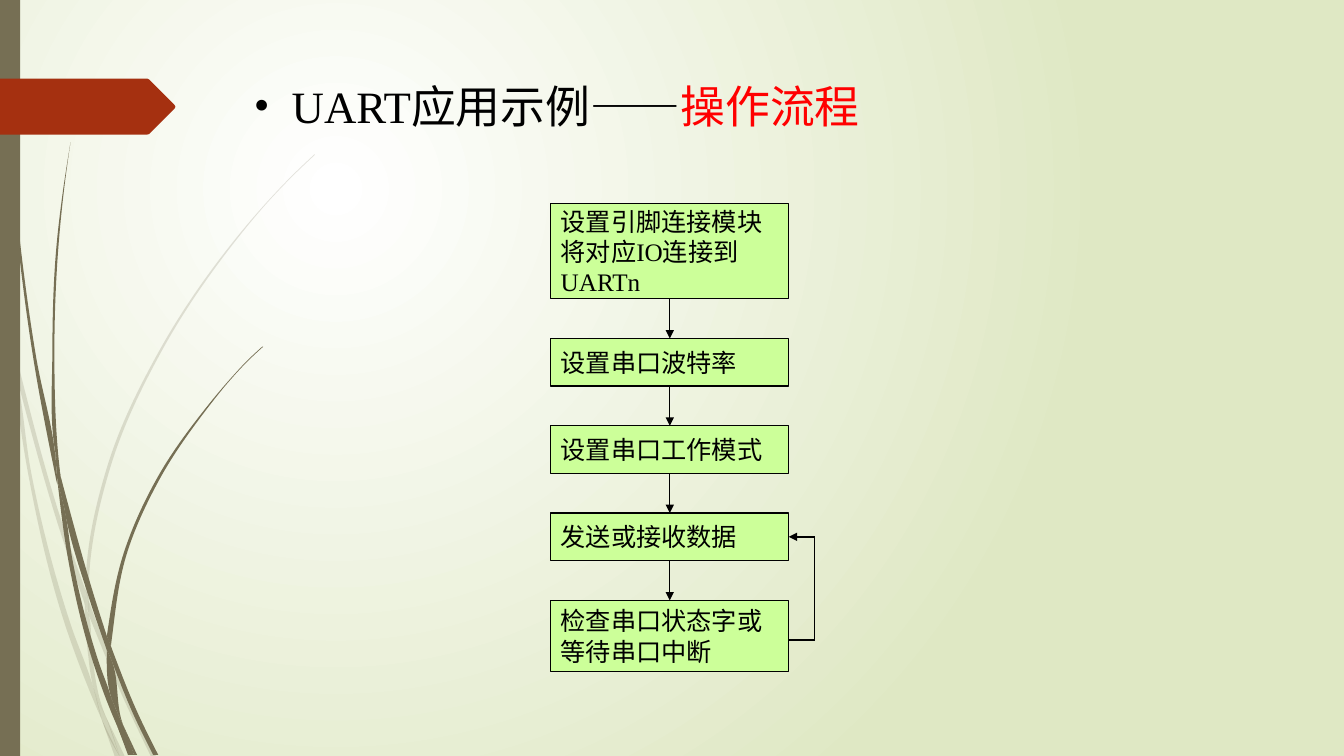
from dataclasses import dataclass
from itertools import pairwise
from math import dist

from pptx import Presentation, util as u
from pptx.dml.color import RGBColor
from pptx.enum import shapes, text
from pptx.oxml.ns import qn
from lxml import etree

# The slide is a fine grid; every length below counts its columns and rows
COLS, ROWS = 1333, 750
CELL = u.Inches(0.01)
Point = tuple[float, float]


@dataclass(frozen=True)
class Theme:
    font: str = "Times New Roman"
    ink: str = "000000"
    accent: str = "FF0000"
    box: str = "CCFF99"
    stem: str = "766F54"
    tab: str = "A53010"
    glow: str = "FFFFFF"
    edge: str = "DFE8C4"
    title_pt: int = 32
    box_pt: int = 18
    line_pt: int = 1
    faded: int = 20


@dataclass(frozen=True)
class Wisp:
    """A sliver of grass between a downward and an upward edge."""
    down: list[Point]
    up: list[Point]


@dataclass(frozen=True)
class Step:
    units: int
    lines: list[str]


THEME = Theme()

FADED_WISPS = [
    Wisp([(0, 282), (9, 322), (11, 350)], [(10, 344), (0, 299)]),
    Wisp([(14, 345), (62, 520), (85, 586)], [(84, 599), (58, 522), (17, 376)]),
    Wisp([(88, 596), (92, 607), (127, 692), (155, 751)], [(150, 751), (123, 694), (88, 610)]),
    Wisp([(105, 711), (124, 751)], [(119, 751), (105, 711)]),
    Wisp([(11, 350), (17, 376), (31, 469), (70, 619), (93, 683), (101, 714)],
         [(101, 714), (92, 693), (65, 621), (28, 470), (11, 350)]),
    Wisp([(84, 599), (88, 610), (91, 646), (103, 706), (105, 711)],
         [(105, 711), (96, 692), (93, 683), (87, 646), (84, 599)]),
    Wisp([(312, 153), (289, 175), (268, 197), (228, 244), (158, 348), (107, 461), (85, 584), (85, 586)],
         [(88, 596), (88, 584), (110, 462), (160, 349), (229, 245), (268, 198), (290, 175), (312, 154)]),
    Wisp([(101, 714), (119, 751)], [(114, 751), (101, 714)]),
    Wisp([(85, 586), (88, 596), (88, 610)], [(88, 608), (84, 599)]),
    Wisp([(93, 683), (96, 692), (105, 711), (119, 751)], [(119, 751), (101, 714), (99, 707), (93, 683)]),
]
SOLID_WISPS = [
    Wisp([(4, 0), (5, 48), (8, 109), (19, 232), (36, 355), (55, 453), (57, 481)],
         [(56, 477), (33, 355), (17, 233), (7, 110), (4, 48), (3, 0)]),
    Wisp([(60, 472), (93, 590), (106, 631)], [(106, 645), (88, 592), (64, 505), (60, 472)]),
    Wisp([(110, 641), (113, 649), (136, 706), (157, 749)], [(152, 749), (132, 708), (111, 656)]),
    Wisp([(57, 477), (64, 505), (72, 556), (98, 657), (110, 691), (117, 722)],
         [(117, 722), (111, 708), (93, 659), (68, 557), (57, 477)]),
    Wisp([(70, 141), (63, 193), (58, 245), (54, 349), (58, 453), (60, 472)],
         [(60, 472), (55, 449), (52, 349), (56, 245), (62, 193), (70, 141)]),
    Wisp([(122, 719), (136, 749)], [(133, 749), (122, 719)]),
    Wisp([(55, 449), (60, 472), (64, 505)], [(57, 477), (55, 453)]),
    Wisp([(260, 344), (245, 358), (231, 373), (204, 405), (156, 474), (122, 551), (106, 631)],
         [(110, 641), (111, 633), (125, 552), (158, 476), (205, 406), (231, 374), (245, 359), (261, 344)]),
    Wisp([(117, 722), (131, 749)], [(127, 749), (117, 722)]),
    Wisp([(106, 645), (109, 651), (111, 656), (121, 716), (122, 719)],
         [(122, 719), (116, 706), (110, 691), (106, 645)]),
    Wisp([(106, 631), (110, 641), (111, 656)], [(109, 651), (106, 645)]),
    Wisp([(110, 691), (116, 706), (122, 719), (133, 749)], [(130, 749), (117, 722), (110, 691)]),
]
TAB = [(0, 78), (146, 78), (148, 79), (173, 104), (174, 106),
       (173, 108), (148, 133), (146, 133.5), (0, 133.5)]

STEPS = [
    Step(4, ["设置引脚连接模块将对应IO连接到UARTn"]),
    Step(2, ["设置串口波特率"]),
    Step(2, ["设置串口工作模式"]),
    Step(2, ["发送或接收数据"]),
    Step(3, ["检查串口状态字或", "等待串口中断"]),
]
FLOW_LEFT, FLOW_TOP, FLOW_UNIT, FLOW_GAP = 546.3, 202, 23.6, 39.4
FLOW_WIDTH = 10 * FLOW_UNIT
LOOP_X, LOOP_Y = 808, 635


def emu(cells: float) -> int:
    return round(cells * CELL)


def rgb(colour: str) -> RGBColor:
    return RGBColor.from_string(colour)


def bezier(knots: list[Point]) -> list[Point]:
    """Two handles and an end point for each stretch of a smooth curve."""
    gaps = [dist(a, b) for a, b in pairwise(knots)]
    chords = [((bx - ax) / g, (by - ay) / g) for g, ((ax, ay), (bx, by)) in zip(gaps, pairwise(knots))]
    inner = [tuple((g * n + h * m) / (g + h) for m, n in zip(before, after))
             for (g, h), (before, after) in zip(pairwise(gaps), pairwise(chords))]
    first, last = chords[0], chords[-1]
    if inner:
        first = tuple(1.5 * c - 0.5 * m for c, m in zip(first, inner[0]))
        last = tuple(1.5 * c - 0.5 * m for c, m in zip(last, inner[-1]))
    slopes = [first, *inner, last]
    points = []
    for gap, (p, q), (m, n) in zip(gaps, pairwise(knots), pairwise(slopes)):
        points.append((p[0] + m[0] * gap / 3, p[1] + m[1] * gap / 3))
        points.append((q[0] - n[0] * gap / 3, q[1] - n[1] * gap / 3))
        points.append(q)
    return points


def paint(sp, colour: str) -> None:
    sp.shadow.inherit = False
    sp.fill.solid()
    sp.fill.fore_color.rgb = rgb(colour)
    sp.line.fill.background()


def add_outline(s, points: list[Point], colour: str):
    start, *rest = [(emu(x), emu(y)) for x, y in points]
    builder = s.shapes.build_freeform(*start)
    builder.add_line_segments(rest, close=True)
    sp = builder.convert_to_shape()
    paint(sp, colour)
    return sp


def add_wisp(s, wisp: Wisp, alpha: int) -> None:
    join = [] if wisp.down[-1] == wisp.up[0] else [wisp.up[0]] * 3
    points = [wisp.down[0], *bezier(wisp.down), *join, *bezier(wisp.up)]
    spPr = add_outline(s, points, THEME.stem)._element.spPr
    # Every three points make one curve
    lines = spPr.findall(".//" + qn("a:lnTo"))
    for trio in zip(*[iter(lines)] * 3):
        curve = etree.Element(qn("a:cubicBezTo"))
        trio[0].addprevious(curve)
        for line in trio:
            curve.append(line[0])
            line.getparent().remove(line)
    if alpha < 100:
        clr = spPr.find(".//" + qn("a:srgbClr"))
        etree.SubElement(clr, qn("a:alpha")).set("val", str(alpha * 1000))


def add_run(p, words: str, size: int, colour: str) -> None:
    r = p.add_run()
    r.text = words
    r.font.name, r.font.size, r.font.color.rgb = THEME.font, u.Pt(size), rgb(colour)


def add_box(s, left: float, top: float, width: float, height: float, colour: str):
    sp = s.shapes.add_shape(shapes.MSO_SHAPE.RECTANGLE, *map(emu, (left, top, width, height)))
    paint(sp, colour)
    return sp


def add_step(s, step: Step, top: float):
    sp = add_box(s, FLOW_LEFT, top, FLOW_WIDTH, step.units * FLOW_UNIT, THEME.box)
    sp.line.color.rgb, sp.line.width = rgb(THEME.ink), u.Pt(THEME.line_pt)
    tf = sp.text_frame
    tf.word_wrap, tf.vertical_anchor = True, text.MSO_ANCHOR.MIDDLE
    for i, words in enumerate(step.lines):
        p = tf.add_paragraph() if i else tf.paragraphs[0]
        p.alignment = text.PP_ALIGN.LEFT
        add_run(p, words, THEME.box_pt, THEME.ink)
    return sp


def add_line(s, start: Point, end: Point, arrow: bool = False):
    c = s.shapes.add_connector(shapes.MSO_CONNECTOR.STRAIGHT, *map(emu, (*start, *end)))
    c.line.color.rgb, c.line.width = rgb(THEME.ink), u.Pt(THEME.line_pt)
    if arrow:
        etree.SubElement(c.line._get_or_add_ln(), qn("a:tailEnd")).set("type", "triangle")
    etree.SubElement(c._element.spPr, qn("a:effectLst"))
    return c


def add_background(s) -> None:
    fill = s.background.fill
    fill.gradient()
    for stop, colour in zip(fill.gradient_stops, (THEME.glow, THEME.edge)):
        stop.color.rgb = rgb(colour)
    grad = s._element.find(".//" + qn("a:gradFill"))
    grad.remove(grad.find(qn("a:lin")))
    radial = etree.SubElement(grad, qn("a:path"), path="circle")
    etree.SubElement(radial, qn("a:fillToRect"), l="50000", t="50000", r="100000", b="100000")


def add_title(s) -> None:
    tf = s.shapes.add_textbox(*map(emu, (242, 73, 850, 67))).text_frame
    tf.word_wrap = True
    p = tf.paragraphs[0]
    pPr = p._p.get_or_add_pPr()
    pPr.set("marL", str(emu(37.5)))
    pPr.set("indent", str(-emu(37.5)))
    etree.SubElement(pPr, qn("a:buFont")).set("typeface", THEME.font)
    etree.SubElement(pPr, qn("a:buChar")).set("char", "•")
    add_run(p, "UART应用示例——", THEME.title_pt, THEME.ink)
    add_run(p, "操作流程", THEME.title_pt, THEME.accent)


def add_flow(s) -> None:
    boxes, top, centre = [], FLOW_TOP, FLOW_LEFT + FLOW_WIDTH / 2
    for step in STEPS:
        boxes.append(add_step(s, step, top))
        top += step.units * FLOW_UNIT + FLOW_GAP
    for upper, lower in pairwise(boxes):
        c = add_line(s, (centre, 0), (centre, 1), arrow=True)
        c.begin_connect(upper, 2)
        c.end_connect(lower, 0)
    # Return loop from the last step to the one before it
    right, send = FLOW_LEFT + FLOW_WIDTH, boxes[-2]
    back_y = (send.top + send.height / 2) / CELL
    add_line(s, (right, LOOP_Y), (LOOP_X, LOOP_Y))
    add_line(s, (LOOP_X, LOOP_Y), (LOOP_X, back_y))
    add_line(s, (LOOP_X, back_y), (right, back_y), arrow=True).end_connect(send, 3)


def main() -> None:
    prs = Presentation()
    prs.slide_width, prs.slide_height = emu(COLS), emu(ROWS)
    s = prs.slides.add_slide(prs.slide_layouts[6])
    add_background(s)
    # Grass, side bar and tab
    for wisps, alpha in ((FADED_WISPS, THEME.faded), (SOLID_WISPS, 100)):
        for wisp in wisps:
            add_wisp(s, wisp, alpha)
    add_box(s, 0, 0, 20, ROWS, THEME.stem)
    add_outline(s, TAB, THEME.tab)
    add_title(s)
    add_flow(s)
    prs.save("out.pptx")


if __name__ == "__main__":
    main()
